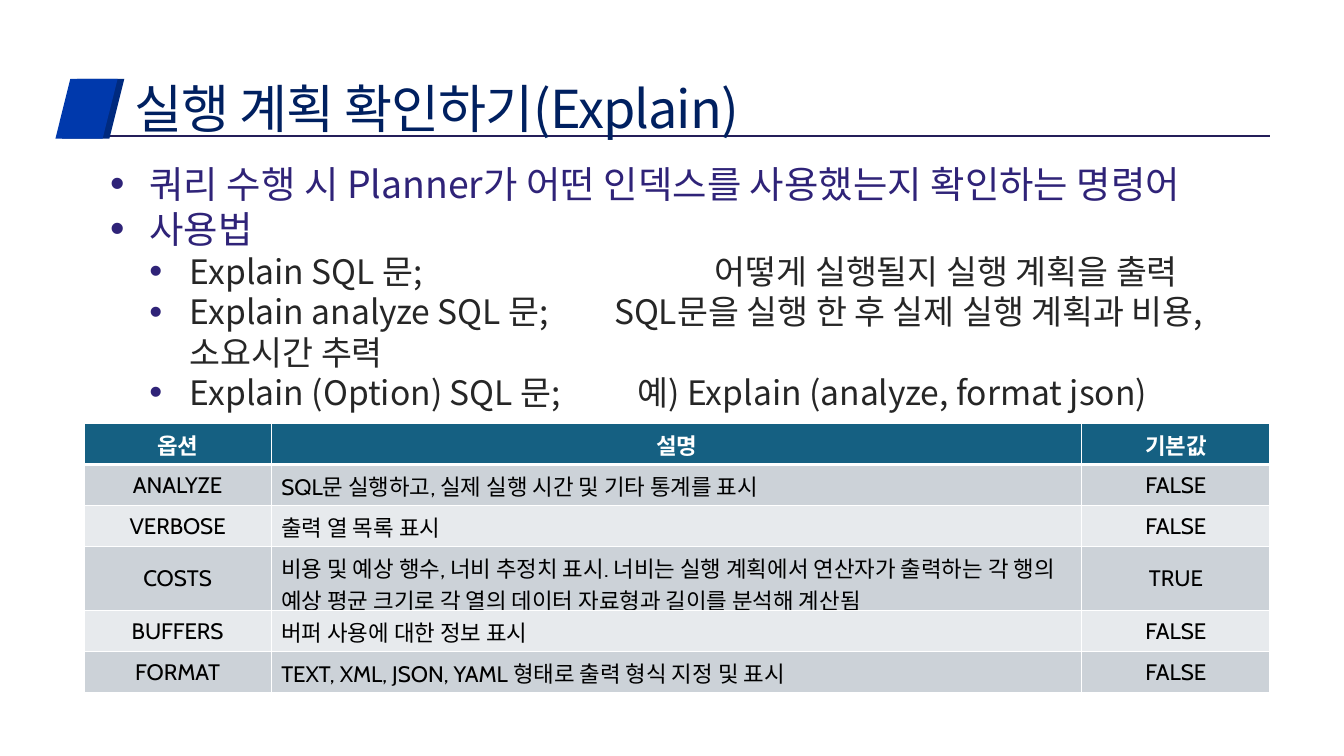
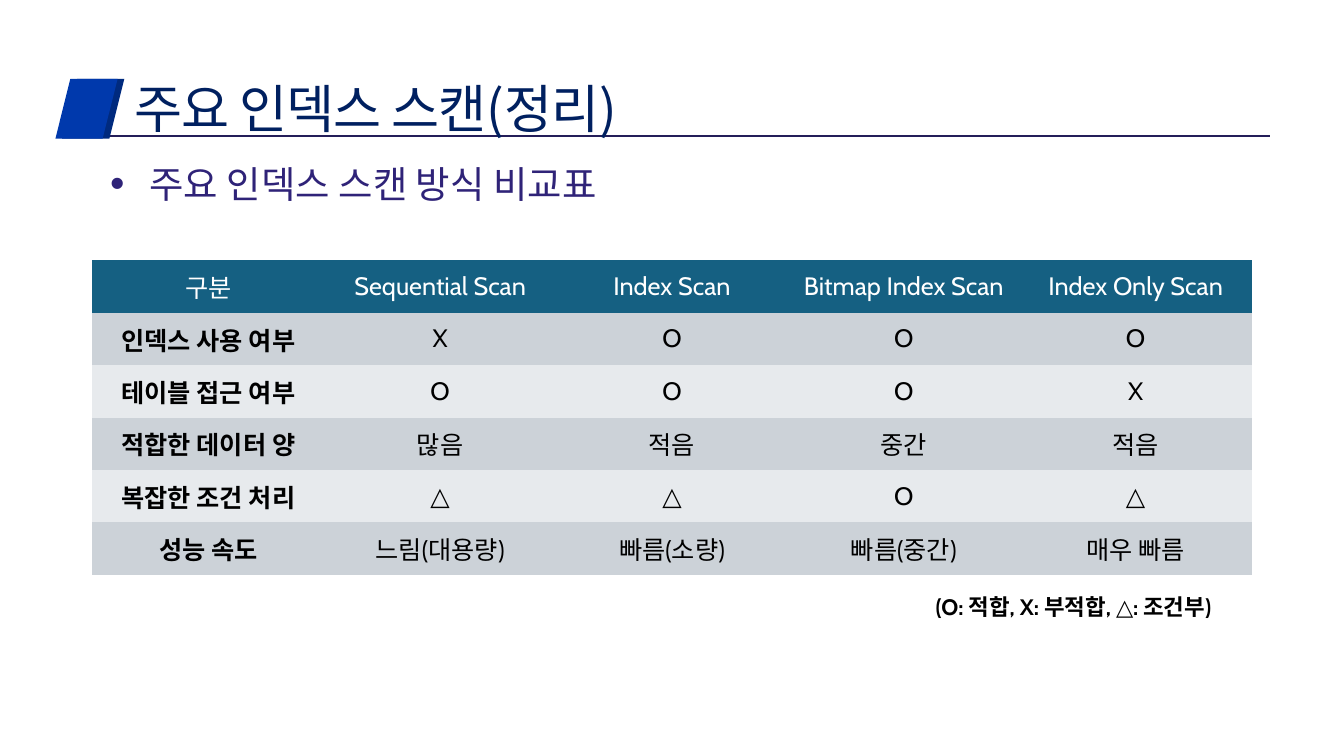
from dataclasses import dataclass

from lxml.etree import SubElement
from pptx import Presentation
from pptx.dml.color import RGBColor
from pptx.enum.shapes import MSO_CONNECTOR, MSO_SHAPE
from pptx.enum.text import MSO_ANCHOR, PP_ALIGN
from pptx.oxml.ns import qn
from pptx.util import Emu, Inches, Pt

# Shared style
NAVY, BLUE, DARK_BLUE, RULE = "002060", "0039AC", "002A7E", "241E59"
VIOLET, CHARCOAL, BLACK, WHITE = "2F2378", "262626", "000000", "FFFFFF"
HEADER, BANDS = "156082", ("CCD2D8", "E7EAED")
SANS, LATIN = "Noto Sans CJK KR", "Cabin"
NO_STYLE = "{2D5ABB26-0587-4C30-8999-92F81FD0307C}"

# Grid of 160 columns by 90 rows
SLIDE_W, SLIDE_H = Inches(13.33), Inches(7.5)
COLS, ROWS = 160, 90


def col(n: float) -> Emu:
    return Emu(round(SLIDE_W * n / COLS))


def row(n: float) -> Emu:
    return Emu(round(SLIDE_H * n / ROWS))


@dataclass(frozen=True)
class Box:
    x: float
    y: float
    w: float
    h: float

    def place(self) -> tuple[Emu, Emu, Emu, Emu]:
        return col(self.x), row(self.y), col(self.w), row(self.h)


@dataclass(frozen=True)
class Level:
    size: float
    color: str
    indent: float
    hanging: float
    leading: float


@dataclass(frozen=True)
class Bullet:
    text: str
    level: int = 0
    tab: float = 0


@dataclass(frozen=True)
class TableSpec:
    x: float
    y: float
    widths: list[float]
    row_height: float
    size: float
    cells: list[list[str]]
    left_col: int = -1
    bold_header: bool = False
    bold_labels: bool = False
    borders: bool = False


LEVELS = (Level(26.7, VIOLET, 4.7, 4.7, 32), Level(24, CHARCOAL, 9.5, 4.8, 28.8))


def rgb(color: str) -> RGBColor:
    return RGBColor.from_string(color)


def format_runs(p, size: float, color: str, font: str, bold: bool = False) -> None:
    for r in p.runs:
        r.font.size, r.font.bold, r.font.name = Pt(size), bold, font
        r.font.color.rgb = rgb(color)
        SubElement(r.font._element, qn("a:ea"), typeface=SANS)


def add_text(s, box: Box, top: float = 0.5, bottom: float = 0, side: float = 1):
    tf = s.shapes.add_textbox(*box.place()).text_frame
    tf.word_wrap = True
    tf.margin_left = tf.margin_right = col(side)
    tf.margin_top, tf.margin_bottom = row(top), row(bottom)
    return tf


def add_header(s, title: str) -> None:
    # Rule and slanted marker
    line = s.shapes.add_connector(MSO_CONNECTOR.STRAIGHT, col(9.4), row(16.2),
                                  col(151.2), row(16.2))
    line.line.color.rgb, line.line.width = rgb(RULE), Pt(1.5)
    SubElement(line._element.spPr, qn("a:effectLst"))
    for x, color in ((7.4, DARK_BLUE), (6.6, BLUE)):
        sp = s.shapes.add_shape(MSO_SHAPE.PARALLELOGRAM, *Box(x, 9.4, 7.4, 7.1).place())
        sp.shadow.inherit = False
        sp.fill.solid()
        sp.fill.fore_color.rgb = rgb(color)
        sp.line.fill.background()

    # Title
    tf = add_text(s, Box(15, 9.2, 136, 7.1), top=1)
    tf.vertical_anchor = MSO_ANCHOR.MIDDLE
    p = tf.paragraphs[0]
    p.text, p.line_spacing = title, 0.9
    format_runs(p, 37.3, NAVY, SANS)
    for r in p.runs:
        r.font._element.set("spc", "-70")


def add_bullets(s, box: Box, bullets: list[Bullet]) -> None:
    tf = add_text(s, box)
    for i, bullet in enumerate(bullets):
        p = tf.add_paragraph() if i else tf.paragraphs[0]
        level = LEVELS[bullet.level]
        p.text, p.level, p.line_spacing = bullet.text, bullet.level, Pt(level.leading)
        props = p._p.get_or_add_pPr()
        props.set("marL", str(col(level.indent)))
        props.set("indent", str(-col(level.hanging)))
        SubElement(SubElement(props, qn("a:buClr")), qn("a:srgbClr"), val=VIOLET)
        SubElement(props, qn("a:buSzPct"), val="110000")
        SubElement(props, qn("a:buFont"), typeface="Arial")
        SubElement(props, qn("a:buChar"), char="•")
        if bullet.tab:
            tabs = SubElement(props, qn("a:tabLst"))
            SubElement(tabs, qn("a:tab"), pos=str(col(bullet.tab)), algn="l")
        format_runs(p, level.size, level.color, SANS)


def add_borders(cell, header: bool, below_header: bool) -> None:
    props = cell._tc.get_or_add_tcPr()
    widths = {"L": 1, "R": 1, "T": 3 if below_header else 1, "B": 3 if header else 1}
    for i, (side, width) in enumerate(widths.items()):
        line = props.makeelement(qn(f"a:ln{side}"), {"w": str(Pt(width))})
        fill = SubElement(line, qn("a:solidFill"))
        SubElement(fill, qn("a:srgbClr"), val=WHITE)
        props.insert(i, line)


def add_table(s, spec: TableSpec) -> None:
    n = len(spec.cells)
    box = Box(spec.x, spec.y, sum(spec.widths), n * spec.row_height)
    table = s.shapes.add_table(n, len(spec.widths), *box.place()).table
    table._tbl.tblPr.find(qn("a:tableStyleId")).text = NO_STYLE
    for column, width in zip(table.columns, spec.widths):
        column.width = col(width)
    for i, texts in enumerate(spec.cells):
        table.rows[i].height = row(spec.row_height)
        header = i == 0
        for j, text in enumerate(texts):
            cell = table.cell(i, j)
            cell.vertical_anchor = MSO_ANCHOR.MIDDLE
            cell.fill.solid()
            cell.fill.fore_color.rgb = rgb(HEADER if header else BANDS[(i - 1) % 2])
            if spec.borders:
                add_borders(cell, header, i == 1)
            p = cell.text_frame.paragraphs[0]
            p.text = text
            is_left = j == spec.left_col and not header
            p.alignment = PP_ALIGN.LEFT if is_left else PP_ALIGN.CENTER
            bold = spec.bold_header if header else spec.bold_labels and j == 0
            format_runs(p, spec.size, WHITE if header else BLACK, LATIN, bold)


def add_note(s, box: Box, text: str) -> None:
    p = add_text(s, box, top=0.6, bottom=0.6, side=1.2).paragraphs[0]
    p.text, p.alignment = text, PP_ALIGN.CENTER
    format_runs(p, 16, BLACK, LATIN, True)


def build_explain(s) -> None:
    add_header(s, "실행 계획 확인하기(Explain)")
    add_bullets(s, Box(12.1, 18.7, 139, 34.5), [
        Bullet("쿼리 수행 시 Planner가 어떤 인덱스를 사용했는지 확인하는 명령어"),
        Bullet("사용법"),
        Bullet("Explain SQL 문;\t어떻게 실행될지 실행 계획을 출력", 1, 72),
        Bullet("Explain analyze SQL 문;\tSQL문을 실행 한 후 실제 실행 계획과 비용, 소요시간 추력", 1, 60),
        Bullet("Explain (Option) SQL 문;\t예) Explain (analyze, format json)", 1, 62.8),
    ])
    add_table(s, TableSpec(10, 50.4, [22.3, 96.5, 22.4], 4.9, 16, [
        ["옵션", "설명", "기본값"],
        ["ANALYZE", "SQL문 실행하고, 실제 실행 시간 및 기타 통계를 표시", "FALSE"],
        ["VERBOSE", "출력 열 목록 표시", "FALSE"],
        ["COSTS", "비용 및 예상 행수, 너비 추정치 표시. 너비는 실행 계획에서 연산자가 출력하는 각 "
                  "행의 예상 평균 크기로 각 열의 데이터 자료형과 길이를 분석해 계산됨", "TRUE"],
        ["BUFFERS", "버퍼 사용에 대한 정보 표시", "FALSE"],
        ["FORMAT", "TEXT, XML, JSON, YAML 형태로 출력 형식 지정 및 표시", "FALSE"],
    ], left_col=1, bold_header=True, borders=True))


def build_scan_summary(s) -> None:
    add_header(s, "주요 인덱스 스캔(정리)")
    add_bullets(s, Box(12.1, 18.7, 139, 8), [Bullet("주요 인덱스 스캔 방식 비교표")])
    add_table(s, TableSpec(11, 31, [27.6] * 5, 6.24, 18, [
        ["구분", "Sequential Scan", "Index Scan", "Bitmap Index Scan", "Index Only Scan"],
        ["인덱스 사용 여부", "X", "O", "O", "O"],
        ["테이블 접근 여부", "O", "O", "O", "X"],
        ["적합한 데이터 양", "많음", "적음", "중간", "적음"],
        ["복잡한 조건 처리", "△", "△", "O", "△"],
        ["성능 속도", "느림(대용량)", "빠름(소량)", "빠름(중간)", "매우 빠름"],
    ], bold_labels=True))
    add_note(s, Box(106.7, 70, 42.2, 4.4), "(O: 적합, X: 부적합, △: 조건부)")


def main() -> None:
    prs = Presentation()
    prs.slide_width, prs.slide_height = SLIDE_W, SLIDE_H
    for build in (build_explain, build_scan_summary):
        build(prs.slides.add_slide(prs.slide_layouts[6]))
    prs.save("out.pptx")


if __name__ == "__main__":
    main()
